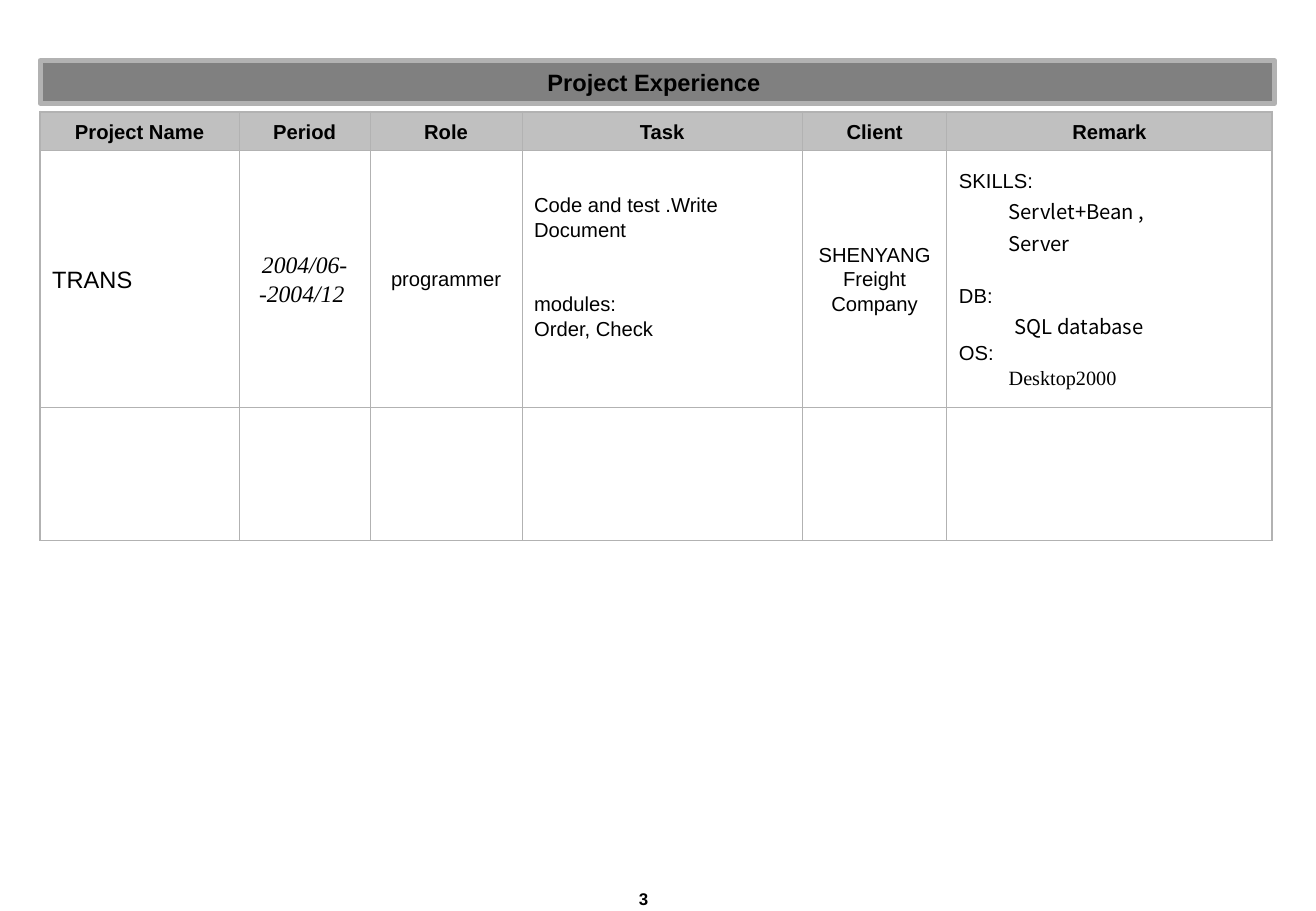
from lxml import etree
from pptx import Presentation
from pptx import util as u
from pptx.dml.color import RGBColor
from pptx.enum import text as t
from pptx.oxml import ns

SCALE = 9144  # EMU per px, 100 px to the inch
LEFT, MID = t.PP_ALIGN.LEFT, t.PP_ALIGN.CENTER
GREY = "B2B2B2"
SANS, SERIF, CJK = "Arial", "Times New Roman", "Noto Sans CJK SC"


def rgb(code):
    return RGBColor.from_string(code)


def write(para, words, align=LEFT, gap=0, indent=0, lead=1.1, **form):
    """Fill one paragraph; form overrides the base font values."""
    para.alignment, para.line_spacing = align, lead
    para.space_before = u.Pt(gap)
    para._p.get_or_add_pPr().set("marL", str(indent * SCALE))
    run = para.add_run()
    run.text = words
    base = {"name": SANS, "size": 12, "bold": False, "italic": False}
    for key, val in {**base, **form}.items():
        setattr(run.font, key, u.Pt(val) if key == "size" else val)
    run.font.color.rgb = rgb("000000")


deck = Presentation()
deck.slide_width, deck.slide_height = 1084 * SCALE, 750 * SCALE
slide = deck.slides.add_slide(deck.slide_layouts[5])

# Title bar
title = slide.shapes.title
spot = {"left": 33, "top": 50, "width": 1017, "height": 35}
for key, val in spot.items():
    setattr(title, key, val * SCALE)
title.fill.solid()
title.fill.fore_color.rgb = rgb("808080")
title.line.color.rgb = rgb(GREY)
title.line.width = u.Pt(3)
frame = title.text_frame
frame.auto_size = t.MSO_AUTO_SIZE.NONE
frame.vertical_anchor = t.MSO_ANCHOR.MIDDLE
write(frame.paragraphs[0], "Project Experience ", MID, lead=1.0, size=14, bold=True)

# Each cell is a list of (words, format) lines
heads = ["Project Name", "Period", "Role", "Task", "Client", "Remark"]
mid = {"align": MID}
skill = {"name": CJK, "indent": 41}
job = [
    [("TRANS", {"size": 14})],
    [("2004/06--2004/12 ", {**mid, "size": 14, "name": SERIF, "italic": True})],
    [("programmer", mid)],
    [("Code and test .Write Document", {}), ("modules:", {"gap": 29}),
     ("Order, Check", {})],
    [("SHENYANG", mid), ("Freight Company", mid)],
    [("SKILLS:", {}), ("Servlet+Bean ,", skill), ("Server", skill),
     ("DB:", {"gap": 15}), ("SQL database", {**skill, "indent": 46}),
     ("OS:", {}), ("Desktop2000", {"name": SERIF, "indent": 41})],
]
rows = [[[(head, {**mid, "bold": True})] for head in heads], job, [[]] * 6]
wide = [164, 108, 125, 231, 119, 268]
high = [32, 211, 110]

grid = slide.shapes.add_table(
    len(high), len(wide), 33 * SCALE, 92 * SCALE,
    sum(wide) * SCALE, sum(high) * SCALE).table
grid.first_row = grid.horz_banding = False
for col, size in zip(grid.columns, wide):
    col.width = size * SCALE
for row, size in zip(grid.rows, high):
    row.height = size * SCALE

for r, row in enumerate(rows):
    for c, lines in enumerate(row):
        cell = grid.cell(r, c)
        props = cell._tc.get_or_add_tcPr()
        outer = {"L": c == 0, "R": c == len(wide) - 1,
                 "T": r == 0, "B": r == len(high) - 1}
        for side, edge in outer.items():
            line = etree.SubElement(props, ns.qn("a:ln" + side))
            line.set("w", str(u.Pt(1.08 if edge else 0.45)))
            fill = etree.SubElement(line, ns.qn("a:solidFill"))
            etree.SubElement(fill, ns.qn("a:srgbClr")).set("val", GREY)
        cell.fill.solid()
        cell.fill.fore_color.rgb = rgb("FFFFFF" if r else "C0C0C0")
        cell.vertical_anchor = t.MSO_ANCHOR.MIDDLE
        for i, (words, form) in enumerate(lines):
            frame = cell.text_frame
            para = frame.add_paragraph() if i else frame.paragraphs[0]
            write(para, words, **form)
grid.cell(1, heads.index("Task")).margin_bottom = 25 * SCALE

# Page number
page = slide.shapes.add_textbox(*(n * SCALE for n in (465, 731, 71, 19)))
frame = page.text_frame
for side, gap in {"left": 2, "right": 2, "top": 1, "bottom": 1}.items():
    setattr(frame, "margin_" + side, gap * SCALE)
frame.word_wrap = True
write(frame.paragraphs[0], "3", t.PP_ALIGN.RIGHT, lead=1.0, size=10, bold=True)

deck.save("out.pptx")
